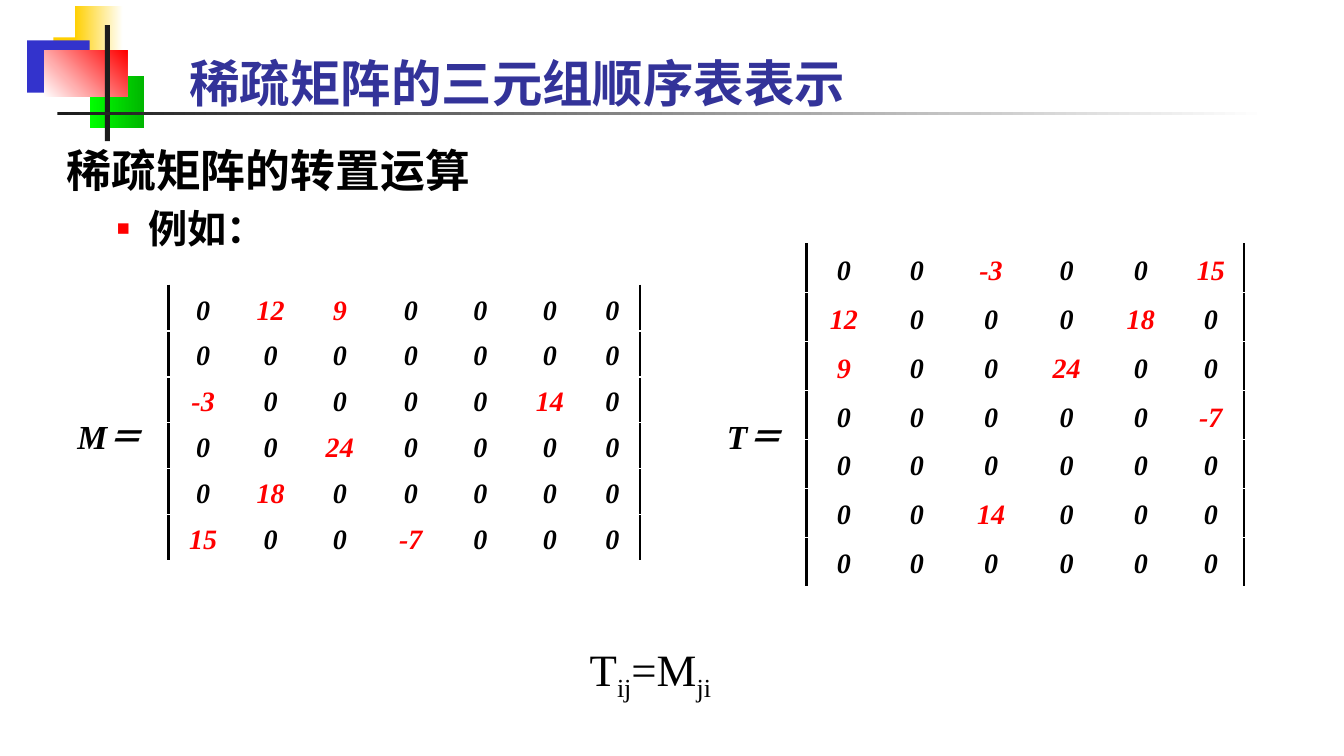
import pptx
import pptx.util
import pptx.dml.color
import pptx.enum.shapes
import pptx.enum.text
import pptx.oxml
import pptx.oxml.ns

Inches, Pt = pptx.util.Inches, pptx.util.Pt
RGB = pptx.dml.color.RGBColor
ALIGN = pptx.enum.text.PP_ALIGN
ANCHOR = pptx.enum.text.MSO_ANCHOR
qn = pptx.oxml.ns.qn

BLACK, WHITE = RGB(0, 0, 0), RGB(255, 255, 255)
RED, INK = RGB(255, 0, 0), RGB(0x1C, 0x1C, 0x1C)
GOLD, BLUE = RGB(0xFF, 0xCF, 0x01), RGB(0x33, 0x33, 0xCC)
LIME, GREEN = RGB(0, 255, 0), RGB(0, 0xB6, 0)
NAVY = RGB(0x33, 0x33, 0x99)
SERIF, NARROW, HAN = "Times New Roman", "Arial Narrow", "Noto Sans CJK SC"

TITLE = "稀疏矩阵的三元组顺序表表示"
HEAD, ITEM = "稀疏矩阵的转置运算", "例如："
FORMULA = [("T", 0), ("ij", -25), ("=M", 0), ("ji", -25)]
MATRIX = [
    (0, 12, 9, 0, 0, 0, 0),
    (0, 0, 0, 0, 0, 0, 0),
    (-3, 0, 0, 0, 0, 14, 0),
    (0, 0, 24, 0, 0, 0, 0),
    (0, 18, 0, 0, 0, 0, 0),
    (15, 0, 0, -7, 0, 0, 0),
]
FLIPPED = list(zip(*MATRIX))

# name, label left, table left and top, row height, column widths, values
TABLES = [
    ("M＝", 0.67, 1.67, 2.83, 0.45,
     (0.69, 0.65, 0.72, 0.69, 0.69, 0.69, 0.55), MATRIX),
    ("T＝", 7.11, 8, 2.42, 3.4 / 7,
     (0.74, 0.71, 0.76, 0.74, 0.73, 0.66, 0.67), FLIPPED),
]
# box, colours (two make a gradient), gradient angle
DECOR = [
    ((0.53, 0.37, 0.64, 0.52), [GOLD], 0),
    ((0.74, 0.06, 0.48, 0.52), [GOLD, WHITE], 0),
    ((0.27, 0.4, 0.62, 0.52), [BLUE], 0),
    ((0.89, 0.75, 0.54, 0.52), [LIME, GREEN], 0),
    ((0.44, 0.5, 0.82, 0.46), [WHITE, RED], 45),
    ((1.04, 0.25, 0.05, 1.15), [INK], 0),
    ((0.57, 1.11, 12, 0.03), [INK, WHITE], 0),
    ((0, 2.05, 0.39, 2.99), [WHITE], 0),
]


def add(parent, tag, **attrs):
    node = parent.makeelement(qn(tag), attrs)
    parent.append(node)
    return node


def write(para, text, size=20, face=SERIF, color=BLACK, bold=True,
          italic=False, base=0):
    run = para.add_run()
    run.text = text
    font = run.font
    font.size, font.bold, font.italic = Pt(size), bold, italic
    font.color.rgb, font.name = color, face
    props = run._r.get_or_add_rPr()
    add(props, "a:ea", typeface=HAN)
    if base:
        props.set("baseline", str(base * 1000))


def lead(para, share):
    """Set the space before as a percentage of the line."""
    props = para._p.get_or_add_pPr()
    add(add(props, "a:spcBef"), "a:spcPct", val=str(share * 1000))
    return props


def place(shape, left, top, width, height):
    shape.left, shape.top = Inches(left), Inches(top)
    shape.width, shape.height = Inches(width), Inches(height)
    shape.text_frame.auto_size = pptx.enum.text.MSO_AUTO_SIZE.NONE
    return shape.text_frame


def label(left, top, width, height):
    box = slide.shapes.add_textbox(*map(Inches, (left, top, width, height)))
    box.text_frame.word_wrap = True
    return box.text_frame.paragraphs[0]


def block(box, colors, angle):
    shape = slide.shapes.add_shape(
        pptx.enum.shapes.MSO_SHAPE.RECTANGLE, *map(Inches, box))
    shape.shadow.inherit = False
    shape.line.fill.background()
    if len(colors) == 1:
        shape.fill.solid()
        shape.fill.fore_color.rgb = colors[0]
        return
    shape.fill.gradient()
    shape.fill.gradient_angle = angle
    for stop, color in zip(shape.fill.gradient_stops, colors):
        stop.color.rgb = color


def edge(cell, tag):
    line = add(cell._tc.get_or_add_tcPr(), tag, w=str(Pt(2.25)))
    add(add(line, "a:solidFill"), "a:srgbClr", val=str(BLACK))


def fill(cell, value):
    cell.margin_left = cell.margin_right = Inches(0.13)
    cell.margin_top = cell.margin_bottom = Inches(0.05)
    cell.vertical_anchor = ANCHOR.MIDDLE
    para = cell.text_frame.paragraphs[0]
    para.alignment, para.line_spacing = ALIGN.CENTER, 1.15
    lead(para, 20)
    write(para, str(value), color=RED if value else BLACK, italic=True)


def grid(left, top, height, widths, values):
    table = slide.shapes.add_table(
        len(values), len(widths), Inches(left), Inches(top),
        Inches(sum(widths)), Inches(height * len(values))).table
    table.first_row = table.horz_banding = False
    for col, width in zip(table.columns, widths):
        col.width = Inches(width)
    last = len(values[0]) - 1
    for r, row in enumerate(values):
        for c in range(len(widths)):
            cell = table.cell(r, c)
            if c in (0, last + 1):
                edge(cell, "a:lnL")
            if c == last:
                edge(cell, "a:lnR")
            cell.fill.background()
            if c <= last:
                fill(cell, row[c])


deck = pptx.Presentation()
deck.slide_width, deck.slide_height = Inches(13.33), Inches(7.5)
slide = deck.slides.add_slide(deck.slide_layouts[1])

for part in DECOR:
    block(*part)

frame = place(slide.shapes.title, 1.78, 0.34, 11.36, 0.83)
frame.vertical_anchor = ANCHOR.BOTTOM
frame.paragraphs[0].alignment = ALIGN.LEFT
write(frame.paragraphs[0], TITLE, size=36, face=NARROW, color=NAVY)

frame = place(slide.placeholders[1], 0.56, 1.37, 12.43, 5.88)
head, item = frame.paragraphs[0], frame.add_paragraph()
props = lead(head, 20)
props.set("marL", "0")
props.set("indent", "0")
add(props, "a:buNone")
write(head, HEAD, size=32, face=HAN)

item.level = 1
props = lead(item, 20)
props.set("marL", str(Inches(0.81)))
props.set("indent", str(Inches(-0.31)))
add(add(props, "a:buClr"), "a:srgbClr", val=str(RED))
add(props, "a:buSzPct", val="55000")
add(props, "a:buChar", char="■")
write(item, ITEM, size=28, face=NARROW)

for name, start, *rest in TABLES:
    grid(*rest)
    para = label(start, 4.08, 1.11, 0.5)
    lead(para, 50)
    write(para, name, size=24, italic=True)

para = label(5.75, 6.32, 1.58, 0.64)
for text, base in FORMULA:
    write(para, text, size=32, bold=False, base=base)

deck.save("out.pptx")
